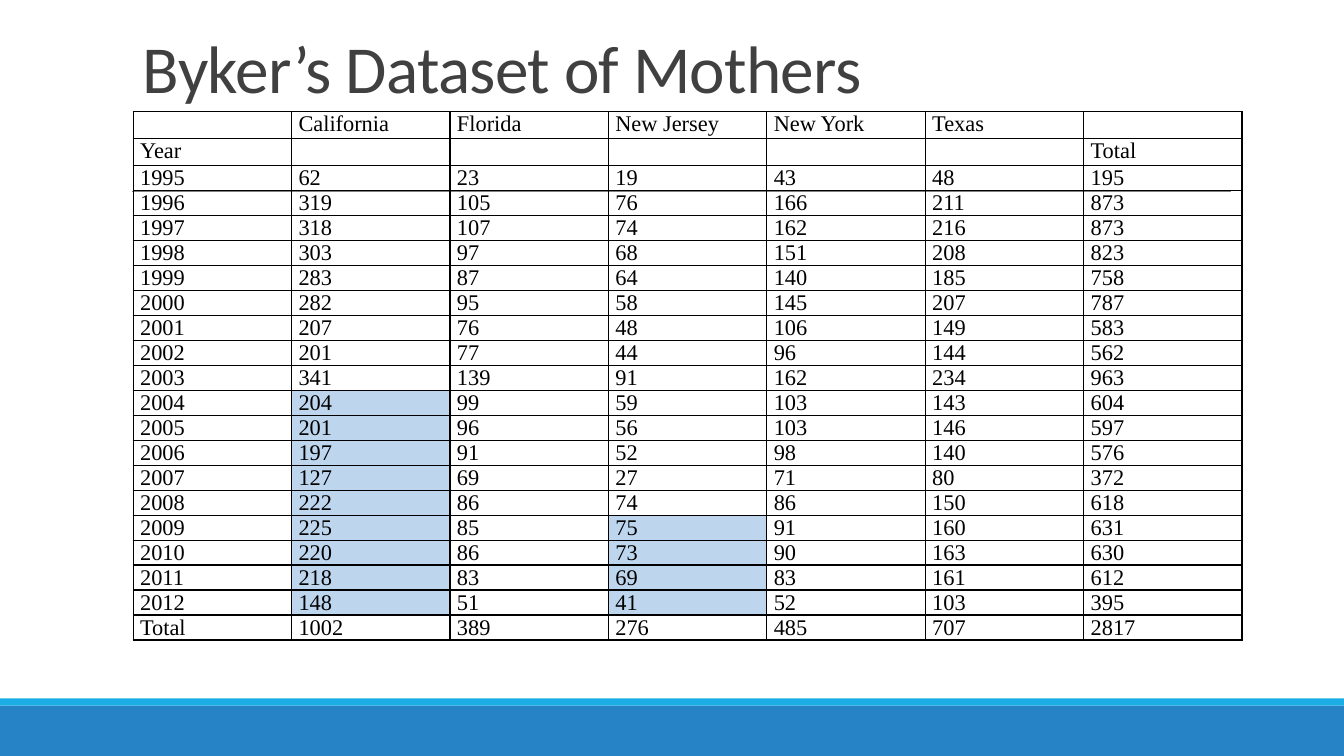
from lxml import etree
from pptx import Presentation
from pptx.dml.color import RGBColor
from pptx.enum import shapes, text
from pptx.oxml import ns
from pptx.util import Inches, Pt

# Content
TITLE = "Byker’s Dataset of Mothers"
ROWS = [
    ("", "California", "Florida", "New Jersey", "New York", "Texas", ""),
    ("Year", "", "", "", "", "", "Total"),
    (1995, 62, 23, 19, 43, 48, 195),
    (1996, 319, 105, 76, 166, 211, 873),
    (1997, 318, 107, 74, 162, 216, 873),
    (1998, 303, 97, 68, 151, 208, 823),
    (1999, 283, 87, 64, 140, 185, 758),
    (2000, 282, 95, 58, 145, 207, 787),
    (2001, 207, 76, 48, 106, 149, 583),
    (2002, 201, 77, 44, 96, 144, 562),
    (2003, 341, 139, 91, 162, 234, 963),
    (2004, 204, 99, 59, 103, 143, 604),
    (2005, 201, 96, 56, 103, 146, 597),
    (2006, 197, 91, 52, 98, 140, 576),
    (2007, 127, 69, 27, 71, 80, 372),
    (2008, 222, 86, 74, 86, 150, 618),
    (2009, 225, 85, 75, 91, 160, 631),
    (2010, 220, 86, 73, 90, 163, 630),
    (2011, 218, 83, 69, 83, 161, 612),
    (2012, 148, 51, 41, 52, 103, 395),
    ("Total", 1002, 389, 276, 485, 707, 2817),
]
# Column number: first shaded year; shading runs through 2012
SHADED_FROM = {1: 2004, 3: 2009}

BLUE = RGBColor(0x26, 0x83, 0xC6)
CYAN = RGBColor(0x1C, 0xAD, 0xE4)
GRAY = RGBColor(0x80, 0x80, 0x80)
DARK = RGBColor(0x40, 0x40, 0x40)
BLACK = RGBColor(0, 0, 0)
PALE_BLUE = RGBColor(0xBD, 0xD6, 0xEE)

LEFT, TABLE_TOP = 1.32, 1.11
TABLE_WIDTH, ROW_HEIGHT = 11, 0.24


def add_band(page, top, height, color):
    band = page.shapes.add_shape(shapes.MSO_SHAPE.RECTANGLE, 0, Inches(top),
                                 Inches(13.33), Inches(height))
    band.shadow.inherit = False
    band.fill.solid()
    band.fill.fore_color.rgb = color
    band.line.fill.background()


def add_rule(page):
    rule = page.shapes.add_connector(shapes.MSO_CONNECTOR.STRAIGHT, Inches(1.31),
                                     Inches(1.9), Inches(12.21), Inches(1.9))
    rule.line.color.rgb = GRAY
    rule.line.width = Pt(0.5)
    etree.SubElement(rule.element.spPr, ns.qn("a:effectLst"))


def add_title(page):
    box = page.shapes.add_textbox(Inches(LEFT), Inches(0.27), Inches(11), Inches(0.84))
    frame = box.text_frame
    frame.word_wrap = True
    frame.vertical_anchor = text.MSO_ANCHOR.BOTTOM
    para = frame.paragraphs[0]
    para.line_spacing = 0.85
    span = para.add_run()
    span.text = TITLE
    span.font.name = "Calibri"
    span.font.size = Pt(48)
    span.font.color.rgb = DARK
    span.font._element.set("spc", "-50")


def add_borders(cell):
    properties = cell._tc.get_or_add_tcPr()
    for side in ("a:lnL", "a:lnR", "a:lnT", "a:lnB"):
        line = etree.SubElement(properties, ns.qn(side), w=str(Pt(1)))
        fill = etree.SubElement(line, ns.qn("a:solidFill"))
        etree.SubElement(fill, ns.qn("a:srgbClr"), val=str(BLACK))


def fill_cell(cell, value, shaded):
    cell.margin_left = cell.margin_right = Inches(0.07)
    cell.margin_top = cell.margin_bottom = 0
    cell.text = str(value)
    para = cell.text_frame.paragraphs[0]
    para.line_spacing = Pt(17.8)
    para.font.name = "Times New Roman"
    para.font.size = Pt(16)
    para.font.color.rgb = BLACK
    add_borders(cell)
    if shaded:
        cell.fill.solid()
        cell.fill.fore_color.rgb = PALE_BLUE
    else:
        cell.fill.background()


def add_mothers_table(page):
    columns = len(ROWS[0])
    table = page.shapes.add_table(
        len(ROWS), columns, Inches(LEFT), Inches(TABLE_TOP),
        Inches(TABLE_WIDTH), Inches(len(ROWS) * ROW_HEIGHT)).table
    table.first_row = table.horz_banding = False
    for r, values in enumerate(ROWS):
        table.rows[r].height = Inches(ROW_HEIGHT)
        year = values[0]
        for c, value in enumerate(values):
            shaded = (c in SHADED_FROM and isinstance(year, int)
                      and year >= SHADED_FROM[c])
            fill_cell(table.cell(r, c), value, shaded)


def main():
    deck = Presentation()
    deck.slide_width, deck.slide_height = Inches(13.33), Inches(7.5)
    page = deck.slides.add_slide(deck.slide_layouts[6])
    # Background bands and rule
    add_band(page, 7, 0.5, BLUE)
    add_band(page, 6.93, 0.07, CYAN)
    add_rule(page)
    # Title and data
    add_title(page)
    add_mothers_table(page)
    deck.save("out.pptx")


if __name__ == "__main__":
    main()
